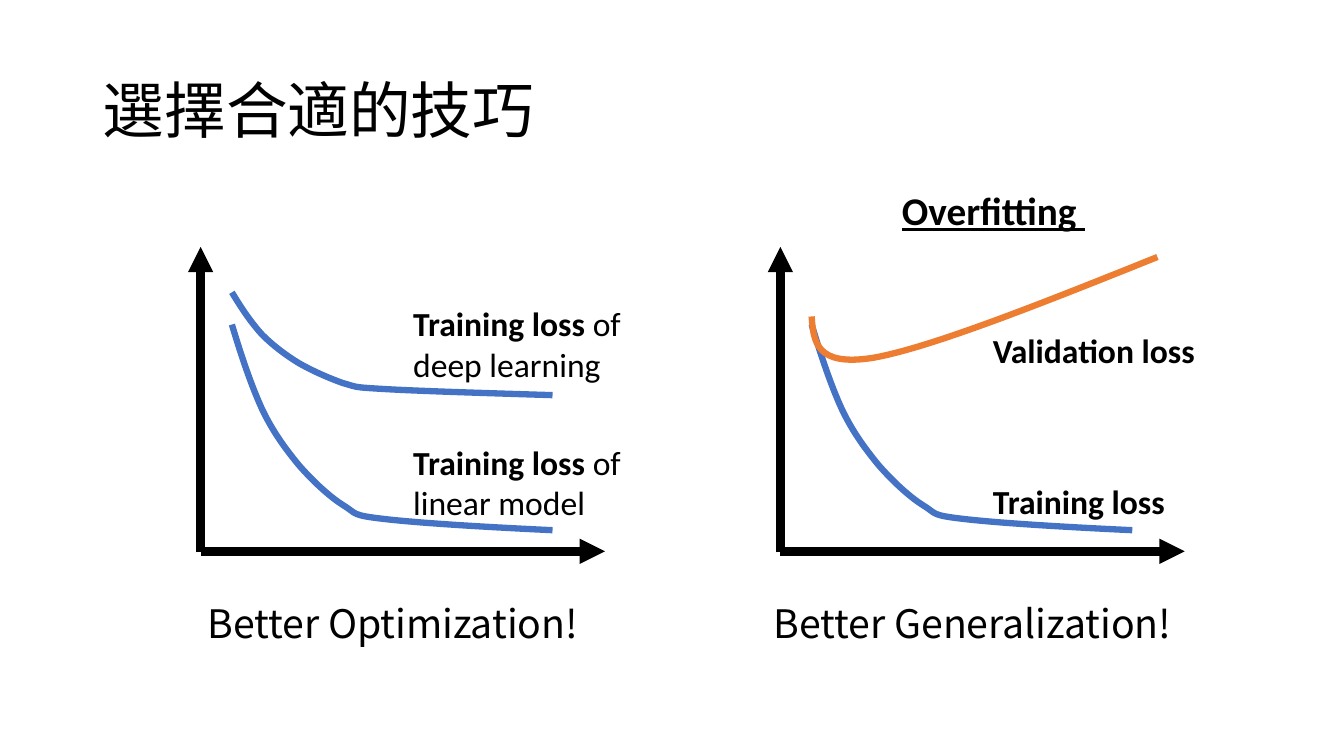
from pptx import Presentation
from pptx.dml.color import RGBColor
from pptx.enum.shapes import MSO_CONNECTOR as CONNECTOR
from pptx.enum.text import MSO_ANCHOR as ANCHOR, MSO_AUTO_SIZE as AUTO_SIZE, PP_ALIGN as ALIGN
from pptx.oxml.ns import qn
from pptx.util import Inches, Pt
from lxml.etree import SubElement

BLACK = RGBColor(0x00, 0x00, 0x00)
BLUE = RGBColor(0x44, 0x72, 0xC4)
ORANGE = RGBColor(0xED, 0x7D, 0x31)
LATIN_FONT = "Calibri"
CJK_FONT = "Noto Sans CJK SC"

# Left edge of each diagram; every x below is measured from it
OPTIMIZATION_X, GENERALIZATION_X = 1.99, 7.74

# Loss curves: a start point, then Bezier pieces (two controls and an end)
LOW_LOSS = [(0.31, 3.22),
            (0.4, 3.52), (0.5, 3.82), (0.61, 4.06),
            (0.72, 4.29), (0.84, 4.45), (0.97, 4.61),
            (1.11, 4.77), (1.27, 4.92), (1.41, 5.01),
            (1.56, 5.1), (1.48, 5.11), (1.83, 5.15),
            (2.18, 5.19), (2.84, 5.23), (3.49, 5.26)]
HIGH_LOSS = [(0.31, 2.9),
             (0.4, 3.05), (0.5, 3.2), (0.61, 3.32),
             (0.72, 3.43), (0.84, 3.52), (0.97, 3.6),
             (1.11, 3.68), (1.27, 3.75), (1.41, 3.8),
             (1.56, 3.84), (1.48, 3.84), (1.83, 3.86),
             (2.18, 3.88), (2.84, 3.9), (3.49, 3.92)]
VALIDATION_LOSS = [(0.31, 3.14),
                   (0.33, 3.39), (0.35, 3.64), (0.92, 3.55),
                   (1.49, 3.45), (2.62, 3), (3.74, 2.55)]


def set_font(paragraph, name, size):
    font = paragraph.font
    font.size, font.name = Pt(size), name
    font.color.rgb = BLACK
    if name == CJK_FONT:
        SubElement(font._element, qn("a:ea"), typeface=name)
    return font


def add_title(slide, text):
    title = slide.shapes.title
    title.left, title.top = Inches(0.92), Inches(0.4)
    title.width, title.height = Inches(11.5), Inches(1.45)
    title.text_frame.vertical_anchor = ANCHOR.MIDDLE
    heading = title.text_frame.paragraphs[0]
    heading.text = text
    heading.alignment = ALIGN.LEFT
    heading.line_spacing = 0.9
    set_font(heading, CJK_FONT, 44)


def add_text(slide, x, y, width, height):
    frame = slide.shapes.add_textbox(
        Inches(x), Inches(y), Inches(width), Inches(height)).text_frame
    frame.word_wrap = True
    frame.auto_size = AUTO_SIZE.SHAPE_TO_FIT_TEXT
    return frame.paragraphs[0]


def add_heading(slide, text, x, y, width, font_name):
    heading = add_text(slide, x, y, width, 0.57)
    heading.text = text
    heading.alignment = ALIGN.CENTER
    return set_font(heading, font_name, 28)


def add_curve_label(slide, x, y, loss, model=""):
    label = add_text(slide, x + 2.01, y, 2.67, 0.91 if model else 0.5)
    font = set_font(label, LATIN_FONT, 24)
    if model:
        loss_run = label.add_run()
        loss_run.text, loss_run.font.bold = loss, True
        label.add_run().text = model
    else:
        label.text, font.bold = loss, True


def add_arrow(slide, x1, y1, x2, y2):
    arrow = slide.shapes.add_connector(
        CONNECTOR.STRAIGHT, Inches(x1), Inches(y1), Inches(x2), Inches(y2))
    arrow.line.color.rgb = BLACK
    arrow.line.width = Pt(6)
    SubElement(arrow.line._get_or_add_ln(), qn("a:tailEnd"), type="triangle")
    SubElement(arrow._element.spPr, qn("a:effectLst"))


def add_axes(slide, x):
    add_arrow(slide, x, 5.48, x, 2.45)
    add_arrow(slide, x, 5.47, x + 4.01, 5.47)


def add_curve(slide, x, knots, color):
    points = [(Inches(x + px), Inches(py)) for px, py in knots]
    builder = slide.shapes.build_freeform(*points[0])
    builder.add_line_segments(points[3::3], close=False)
    curve = builder.convert_to_shape()
    curve.shadow.inherit = False
    curve.fill.background()
    curve.line.color.rgb = color
    curve.line.width = Pt(4.5)

    # Bend each straight segment into a Bezier piece
    segments = list(curve._element.iter(qn("a:lnTo")))
    for i, segment in enumerate(segments):
        bend = segment.getparent()
        piece = SubElement(bend, qn("a:cubicBezTo"))
        for px, py in points[3 * i + 1:3 * i + 4]:
            SubElement(piece, qn("a:pt"), x=str(px - curve.left), y=str(py - curve.top))
        bend.remove(segment)


def main():
    prs = Presentation()
    prs.slide_width, prs.slide_height = Inches(13.33), Inches(7.5)
    slide = prs.slides.add_slide(prs.slide_layouts[5])
    add_title(slide, "選擇合適的技巧")

    # Captions under the diagrams
    for x, caption in ((OPTIMIZATION_X, "Better Optimization!"),
                       (GENERALIZATION_X, "Better Generalization!")):
        add_heading(slide, caption, x - 0.2, 5.9, 4.21, CJK_FONT)

    # Optimization: deep learning against a linear model
    add_axes(slide, OPTIMIZATION_X)
    add_curve(slide, OPTIMIZATION_X, LOW_LOSS, BLUE)
    add_curve(slide, OPTIMIZATION_X, HIGH_LOSS, BLUE)
    add_curve_label(slide, OPTIMIZATION_X, 4.33, "Training loss ", "of linear model")
    add_curve_label(slide, OPTIMIZATION_X, 2.96, "Training loss ", "of deep learning")

    # Generalization: training against validation
    add_axes(slide, GENERALIZATION_X)
    add_curve(slide, GENERALIZATION_X, LOW_LOSS, BLUE)
    add_curve_label(slide, GENERALIZATION_X, 4.72, "Training loss")
    add_curve_label(slide, GENERALIZATION_X, 3.22, "Validation loss")
    add_curve(slide, GENERALIZATION_X, VALIDATION_LOSS, ORANGE)
    overfitting = add_heading(slide, "Overfitting ", 8.47, 1.8, 2.77, LATIN_FONT)
    overfitting.bold = overfitting.underline = True

    prs.save("out.pptx")


if __name__ == "__main__":
    main()
